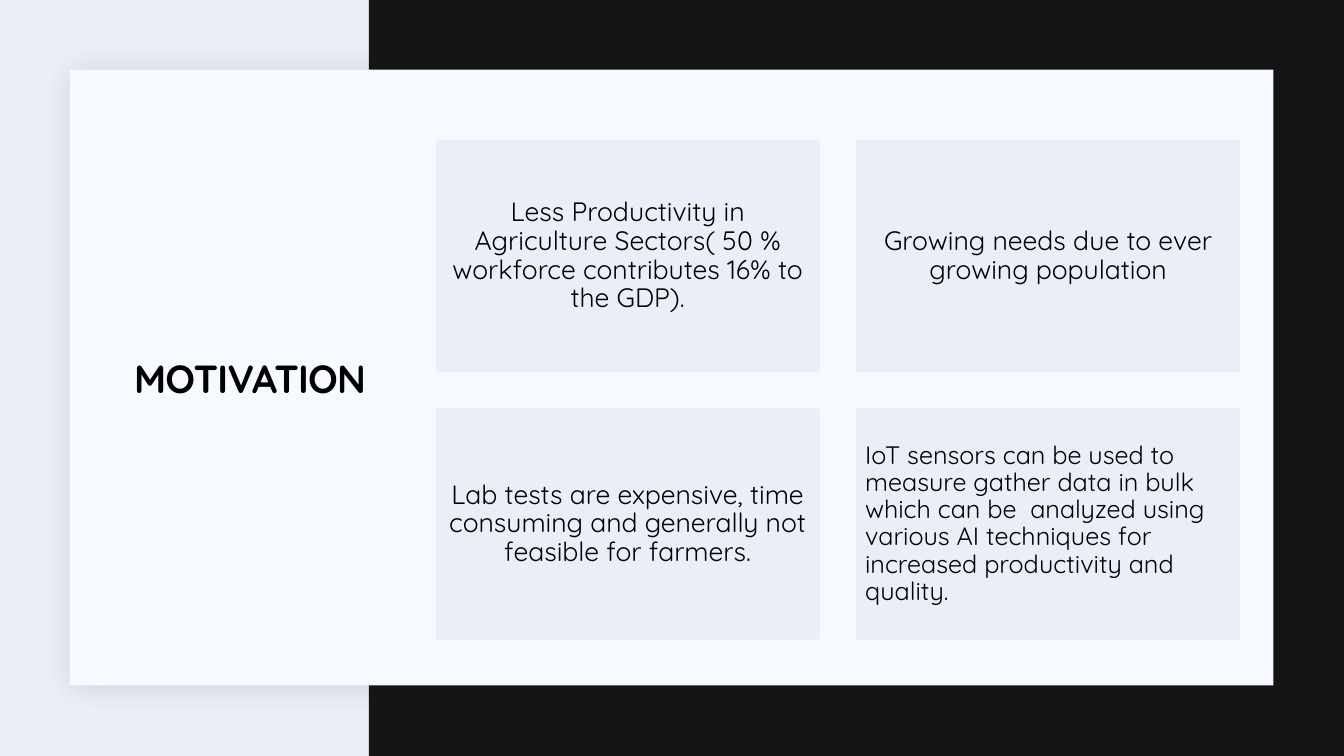
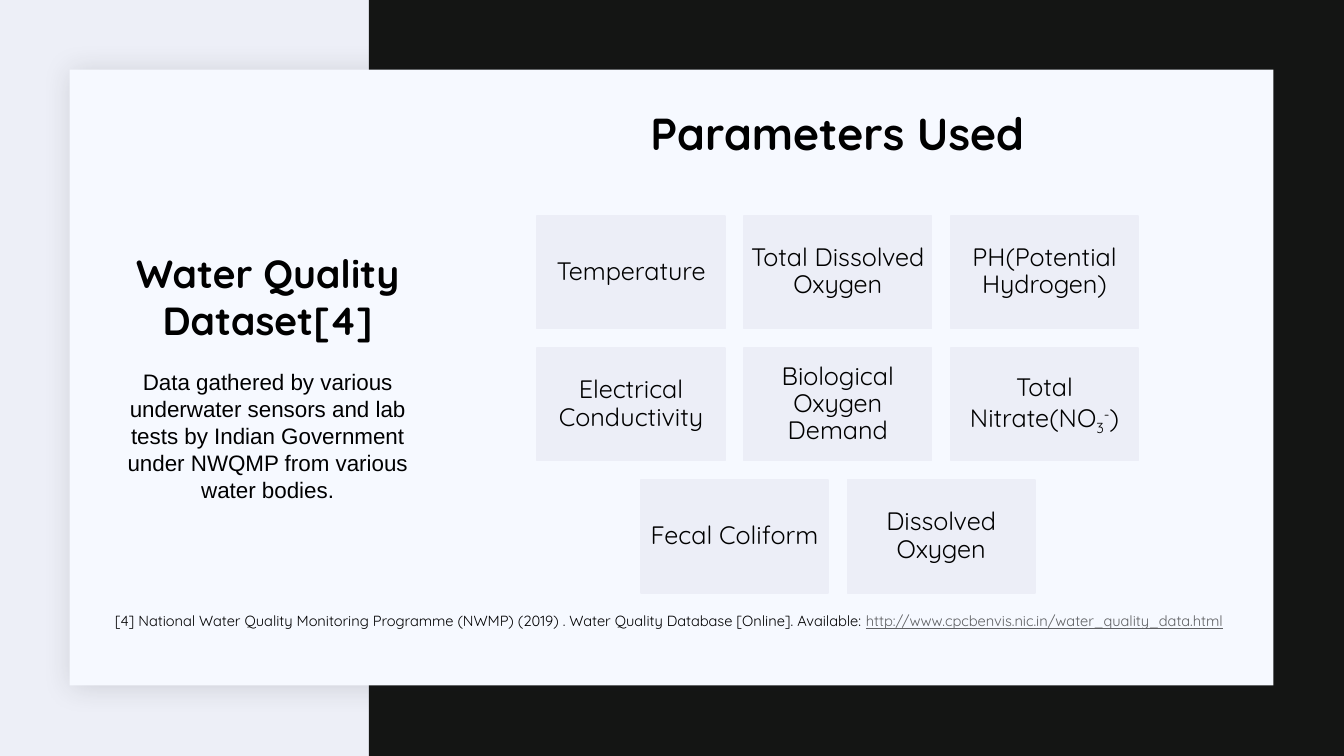
from lxml import etree
from pptx import Presentation
from pptx.dml.color import RGBColor
from pptx.enum.shapes import MSO_SHAPE
from pptx.enum.text import MSO_ANCHOR, MSO_AUTO_SIZE, PP_ALIGN
from pptx.util import Inches, Pt

RECT = MSO_SHAPE.RECTANGLE
MIDDLE = MSO_ANCHOR.MIDDLE
FIXED = MSO_AUTO_SIZE.NONE
LEFT, CENTER = PP_ALIGN.LEFT, PP_ALIGN.CENTER

PALE = RGBColor(0xED, 0xEF, 0xF7)
DARK = RGBColor(0x14, 0x15, 0x14)
PANEL = RGBColor(0xF6, 0xF9, 0xFF)
TILE = RGBColor(0xEC, 0xEE, 0xF7)
BLACK = RGBColor(0x00, 0x00, 0x00)
GREY = RGBColor(0x5F, 0x60, 0x63)
FONT = "Quicksand"
MID = 8.31  # centre of the tile area, in inches

SHADOW = """<a:effectLst xmlns:a="http://schemas.openxmlformats.org/drawingml/2006/main">
<a:outerShdw blurRad="254000" dist="25400" dir="2700000" algn="tl" rotWithShape="0">
<a:srgbClr val="1F2125"><a:alpha val="15000"/></a:srgbClr></a:outerShdw></a:effectLst>"""


def style(para, size, bold=False, align=CENTER, font=FONT):
    para.alignment = align
    for run in para.runs:
        run.font.size = Pt(size)
        run.font.name = font
        run.font.bold = bold
        run.font.color.rgb = BLACK


def tiles(slide, rows, top, wide, high, gap, size, inset):
    """Draw rows of text tiles, each row centred on MID; return the shapes."""
    made = []
    for r, row in enumerate(rows):
        left = MID - (len(row) * wide + (len(row) - 1) * gap) / 2
        for c, text in enumerate(row):
            tile = slide.shapes.add_shape(
                RECT, Inches(left + c * (wide + gap)), Inches(top + r * (high + gap)),
                Inches(wide), Inches(high))
            tile.shadow.inherit = False
            tile.fill.solid()
            tile.fill.fore_color.rgb = TILE
            tile.line.color.rgb = TILE
            tile.line.width = Pt(1.25)
            frame = tile.text_frame
            frame.word_wrap = True
            frame.vertical_anchor = MIDDLE
            frame.margin_left = frame.margin_right = Inches(inset)
            frame.margin_top = frame.margin_bottom = Inches(inset)
            frame.text = text
            frame.paragraphs[0].line_spacing = 0.9
            style(frame.paragraphs[0], size)
            made.append(tile)
    return made


prs = Presentation()
prs.slide_width, prs.slide_height = Inches(13.33), Inches(7.5)
layout = prs.slide_layouts.get_by_name("Title Only")
first = prs.slides.add_slide(layout)
second = prs.slides.add_slide(layout)

# Shared backdrop: dark band and raised panel, moved into the layout
layout.background.fill.solid()
layout.background.fill.fore_color.rgb = PALE
backs = [(3.66, 0, 9.67, 7.5, DARK), (0.69, 0.69, 11.94, 6.11, PANEL)]
for i, (x, y, w, h, color) in enumerate(backs):
    back = first.shapes.add_shape(RECT, Inches(x), Inches(y), Inches(w), Inches(h))
    back.fill.solid()
    back.fill.fore_color.rgb = color
    back.line.fill.background()
    if color == PANEL:
        back._element.spPr.append(etree.fromstring(SHADOW))
    else:
        back.shadow.inherit = False
    layout.shapes._spTree.insert(2 + i, back._element)

# Titles
heads = [
    (first, "MOTIVATION", 0.49, 3.43, 3.98, 28),
    (second, "Parameters Used", 6.11, 1, 4.39, 32),
]
for slide, text, x, y, w, size in heads:
    title = slide.shapes.title
    title.left, title.top = Inches(x), Inches(y)
    title.width, title.height = Inches(w), Inches(0.64)
    frame = title.text_frame
    frame.text = text
    frame.auto_size = FIXED
    frame.vertical_anchor = MIDDLE
    style(frame.paragraphs[0], size, bold=True)
first.shapes.title.text_frame.paragraphs[0].runs[0].font._element.set("spc", "-50")

# Slide 1: four reasons
reasons = [
    ["Less Productivity in Agriculture Sectors( 50 % workforce contributes 16% to the GDP).",
     "Growing needs due to ever growing population"],
    ["Lab tests are expensive, time consuming and generally not feasible for farmers.",
     "IoT sensors can be used to measure gather data in bulk which can be  analyzed using "
     "various AI techniques for increased productivity and quality."],
]
made = tiles(first, reasons, 1.4, 3.79, 2.28, 0.38, 19, 0.08)
style(made[-1].text_frame.paragraphs[0], 18, align=LEFT)

# Slide 2: measured parameters
params = [
    ["Temperature", "Total Dissolved Oxygen", "PH(Potential Hydrogen)"],
    ["Electrical Conductivity", "Biological Oxygen Demand", "Total Nitrate(NO"],
    ["Fecal Coliform", "Dissolved Oxygen"],
]
made = tiles(second, params, 2.14, 1.86, 1.12, 0.19, 18, 0.07)

# Finish the nitrate formula with its sub- and superscript
para = made[5].text_frame.paragraphs[0]
for text, shift in [("3", -25), ("-", 30), (")", 0)]:
    run = para.add_run()
    run.text = text
    run.font._element.set("baseline", str(shift * 1000))
style(para, 18)

# Slide 2: dataset summary
box = second.shapes.add_textbox(Inches(1.04), Inches(2.42), Inches(3.23), Inches(3.2))
frame = box.text_frame
frame.word_wrap = True
frame.text = "Water Quality Dataset[4]"
style(frame.paragraphs[0], 28, bold=True)
para = frame.add_paragraph()
para.text = ("Data gathered by various underwater sensors and lab tests by Indian Government "
             "under NWQMP from various water bodies.")
para.space_before = Pt(18)
style(para, 16, font="Arial")

# Slide 2: reference
box = second.shapes.add_textbox(Inches(1.04), Inches(6.02), Inches(11.52), Inches(0.63))
frame = box.text_frame
frame.word_wrap = True
frame.text = ("[4] National Water Quality Monitoring Programme (NWMP) (2019) . "
              "Water Quality Database [Online]. Available: ")
para = frame.paragraphs[0]
site = para.add_run()
site.text = "http://www.cpcbenvis.nic.in/water_quality_data.html"
style(para, 10.5, align=LEFT)
site.font.color.rgb = GREY
site.font.underline = True

prs.save("out.pptx")
